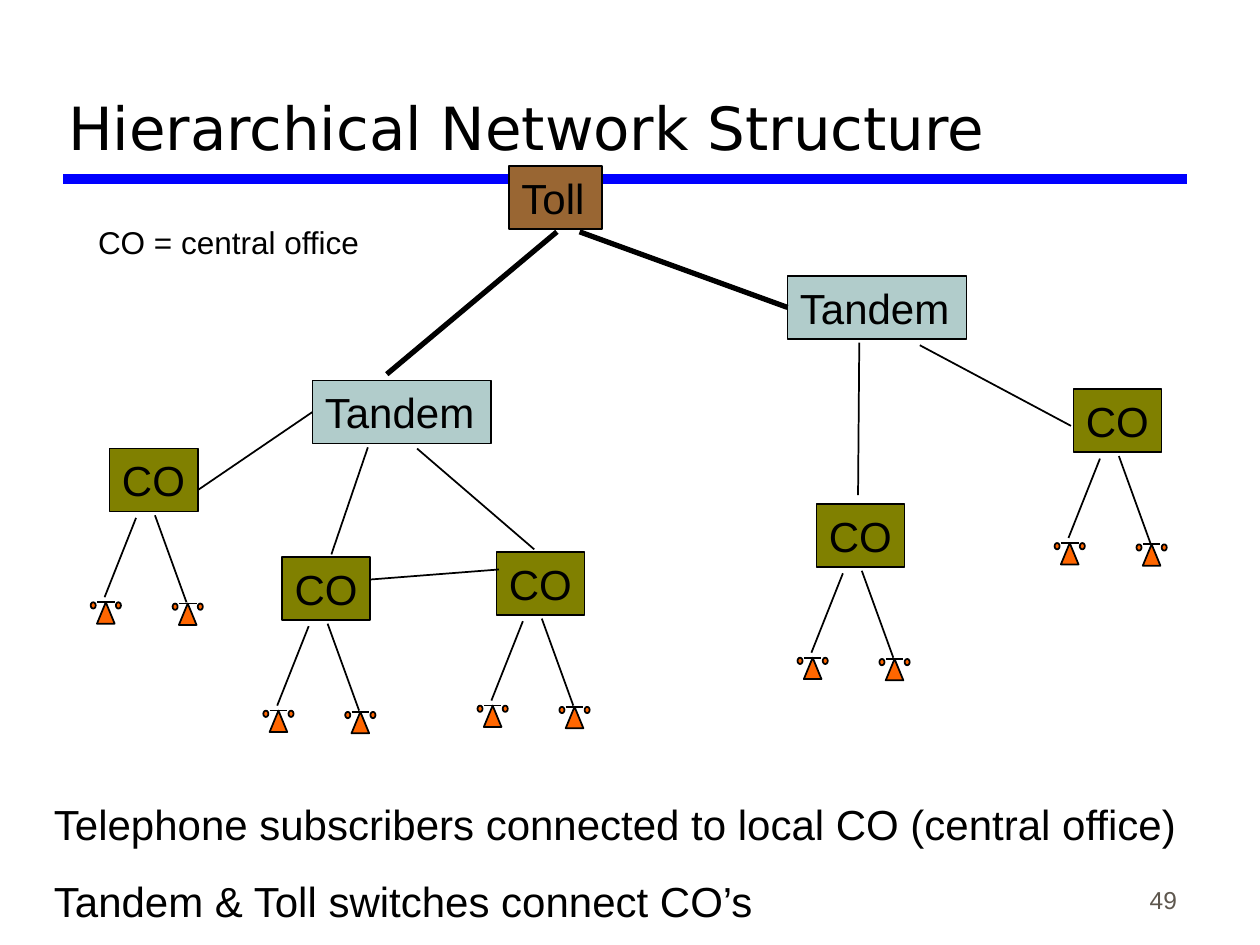
import pptx
import pptx.util
import pptx.dml.color
import pptx.enum.shapes
import pptx.enum.text
import pptx.oxml.ns
import lxml.etree

Inches, Pt = pptx.util.Inches, pptx.util.Pt
SHAPE = pptx.enum.shapes.MSO_SHAPE
ANCHOR = pptx.enum.text.MSO_ANCHOR
ALIGN = pptx.enum.text.PP_ALIGN

THEME = {
    "text": "000000", "line": "000000", "rule": "0000FF", "number": "5E574E",
    "Toll": "996633", "Tandem": "B1CCCB", "CO": "808000", "phone": "FF6600",
    "body_font": "Arial", "title_font": "DejaVu Sans",
    "title_size": 34, "body_size": 24, "legend_size": 18, "number_size": 14,
    "thin": 1, "trunk": 3, "rule_width": 6,
}

TITLE = "Hierarchical Network Structure"
LEGEND = "CO = central office"
NOTES = ["Telephone subscribers connected to local CO (central office)",
         "Tandem & Toll switches connect CO’s"]
NUMBER = "49"

BOX_HEIGHT = 0.5
BOX_WIDTHS = {"Toll": 0.74, "Tandem": 1.42, "CO": 0.7}
SWITCHES = {
    "toll": ("Toll", 4.04, 1.32),
    "left tandem": ("Tandem", 2.48, 3.02),
    "right tandem": ("Tandem", 6.25, 2.19),
}
OFFICES = [(0.87, 3.56), (2.24, 4.42), (3.94, 4.38), (6.48, 4), (8.52, 3.09)]

TRUNKS = [
    ((4.42, 1.84), (3.07, 2.97), "trunk", None),
    ((4.6, 1.84), (6.25, 2.44), "trunk", "right tandem"),
    ((1.57, 3.89), (2.48, 3.27), "thin", "left tandem"),
    ((2.92, 3.55), (2.63, 4.4), "thin", None),
    ((3.31, 3.56), (4.24, 4.36), "thin", None),
    ((6.82, 2.72), (6.81, 3.93), "thin", None),
    ((7.3, 2.74), (8.5, 3.38), "thin", None),
    ((2.93, 4.6), (3.96, 4.52), "thin", None),
]

PHONES = [(-0.1, 1.22), (0.55, 1.23)]
DROPS = [((0.21, 0.55), (-0.04, 1.18)), ((0.36, 0.53), (0.61, 1.22))]
BELL_WIDTH, BELL_HEIGHT = 0.14, 0.17
EARS = [-0.05, 0.15]


def rgb(name):
    return pptx.dml.color.RGBColor.from_string(THEME[name])


def style(p, size="body_size", color="text", font="body_font"):
    p.font.size = Pt(THEME[size])
    p.font.name = THEME[font]
    p.font.color.rgb = rgb(color)


def add_line(slide, start, end, width="thin", color="line"):
    c = slide.shapes.add_connector(pptx.enum.shapes.MSO_CONNECTOR.STRAIGHT,
                                   *map(Inches, start + end))
    c.line.color.rgb = rgb(color)
    c.line.width = Pt(THEME[width])
    lxml.etree.SubElement(c._element.spPr, pptx.oxml.ns.qn("a:effectLst"))
    return c


def add_solid(slide, kind, x, y, w, h, fill):
    sp = slide.shapes.add_shape(kind, *map(Inches, (x, y, w, h)))
    sp.shadow.inherit = False
    sp.fill.solid()
    sp.fill.fore_color.rgb = rgb(fill)
    sp.line.color.rgb = rgb("line")
    sp.line.width = Pt(THEME["thin"])
    return sp


def add_box(slide, label, x, y):
    sp = add_solid(slide, SHAPE.RECTANGLE, x, y, BOX_WIDTHS[label], BOX_HEIGHT, label)
    tf = sp.text_frame
    tf.word_wrap = False
    tf.vertical_anchor = ANCHOR.TOP
    p = tf.paragraphs[0]
    p.text = label
    p.alignment = ALIGN.LEFT
    style(p)
    return sp


def add_phone(slide, x, y):
    add_solid(slide, SHAPE.ISOSCELES_TRIANGLE, x, y, BELL_WIDTH, BELL_HEIGHT, "phone")
    add_line(slide, (x, y), (x + BELL_WIDTH, y))
    for dx in EARS:
        add_solid(slide, SHAPE.OVAL, x + dx, y, 0.04, 0.05, "phone")


def add_office(slide, x, y):
    add_box(slide, "CO", x, y)
    for dx, dy in PHONES:
        add_phone(slide, x + dx, y + dy)
    for (x1, y1), (x2, y2) in DROPS:
        add_line(slide, (x + x1, y + y1), (x + x2, y + y2))


def add_text(slide, lines, x, y, w, h, space=0, **look):
    tf = slide.shapes.add_textbox(*map(Inches, (x, y, w, h))).text_frame
    tf.word_wrap = True
    for i, line in enumerate(lines):
        p = tf.add_paragraph() if i else tf.paragraphs[0]
        p.text = line
        if i:
            p.space_before = Pt(space)
        style(p, **look)
    return tf


def add_title(slide):
    sp = slide.shapes.title
    sp.left, sp.top, sp.width, sp.height = map(Inches, (0.44, 0.17, 8.97, 1.17))
    tf = sp.text_frame
    tf.vertical_anchor = ANCHOR.BOTTOM
    p = tf.paragraphs[0]
    p.text = TITLE
    p.alignment = ALIGN.LEFT
    style(p, "title_size", font="title_font")


def main():
    prs = pptx.Presentation()
    prs.slide_width, prs.slide_height = Inches(10), Inches(7.5)
    slide = prs.slides.add_slide(prs.slide_layouts[5])

    add_title(slide)
    add_line(slide, (0.5, 1.42), (9.42, 1.42), "rule_width", "rule")
    tf = add_text(slide, [NUMBER], 7.36, 6.81, 2.08, 0.5,
                  size="number_size", color="number")
    tf.vertical_anchor = ANCHOR.BOTTOM
    tf.paragraphs[0].alignment = ALIGN.RIGHT
    add_text(slide, NOTES, 0.33, 6.29, 9.4, 1.11, space=15)
    add_text(slide, [LEGEND], 0.68, 1.72, 2.44, 0.4, size="legend_size")

    boxes = {name: add_box(slide, *switch) for name, switch in SWITCHES.items()}
    for x, y in OFFICES:
        add_office(slide, x, y)
    for start, end, width, target in TRUNKS:
        c = add_line(slide, start, end, width)
        if target:
            c.end_connect(boxes[target], 1)

    prs.save("out.pptx")


if __name__ == "__main__":
    main()
